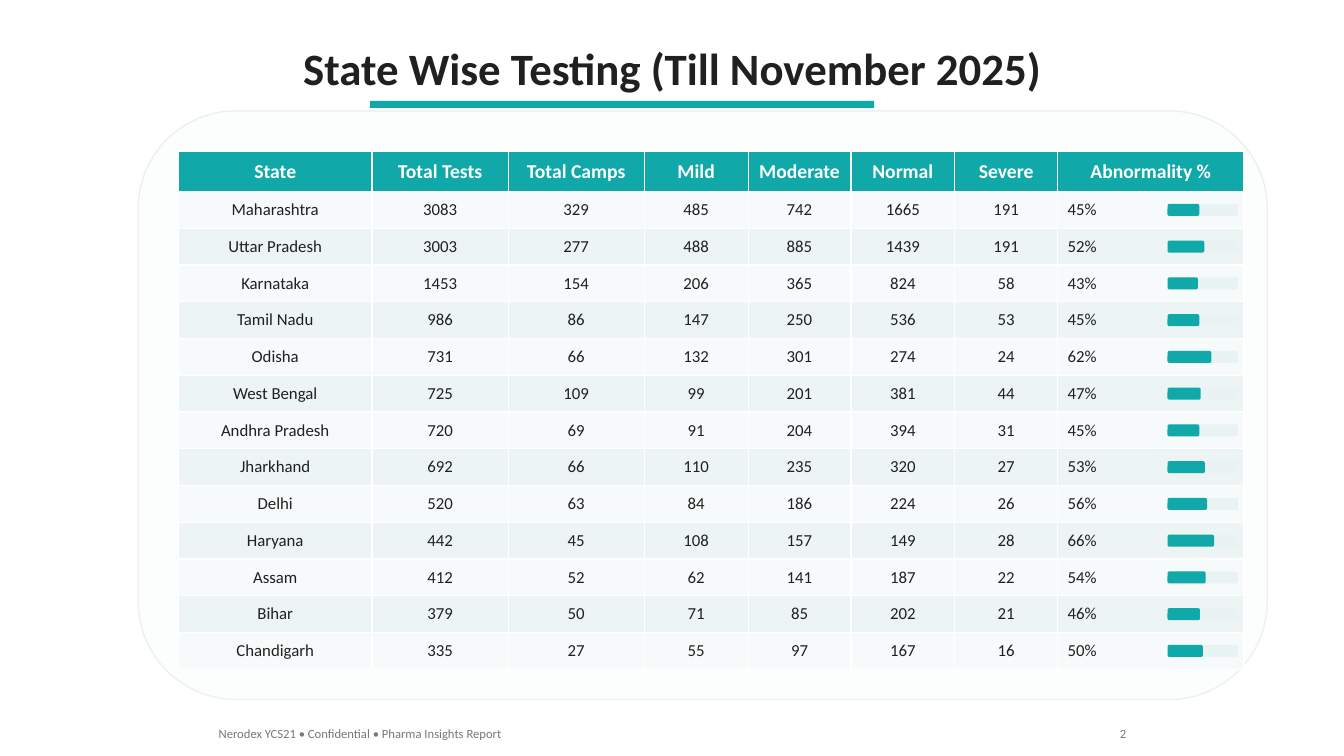
from pptx import Presentation
from pptx.dml.color import RGBColor
from pptx.enum.shapes import MSO_SHAPE
from pptx.enum.text import MSO_ANCHOR, MSO_AUTO_SIZE, PP_ALIGN
from pptx.util import Pt

PX = 9144  # EMU per px, 100 px to the inch
FONT = "Calibri"
COLORS = {
    "white": "FFFFFF", "ink": "202020", "teal": "10A8A8", "muted": "787878",
    "card": "FCFDFD", "card_line": "EBF0F0", "track": "EAF3F3",
    "odd_row": "F6FAFA", "even_row": "ECF4F4",
}
TITLE = {"size": Pt(32), "bold": True, "color": "ink"}
HEADER = {"size": Pt(14), "bold": True, "color": "white"}
BODY = {"size": Pt(12), "bold": False, "color": "ink"}
FOOTER = {"size": Pt(9), "color": "muted"}

COLUMNS = [
    ("State", 192), ("Total Tests", 135), ("Total Camps", 135), ("Mild", 103),
    ("Moderate", 102), ("Normal", 103), ("Severe", 102), ("Abnormality %", 185),
]
STATES = [
    ("Maharashtra", 3083, 329, 485, 742, 1665, 191, 45),
    ("Uttar Pradesh", 3003, 277, 488, 885, 1439, 191, 52),
    ("Karnataka", 1453, 154, 206, 365, 824, 58, 43),
    ("Tamil Nadu", 986, 86, 147, 250, 536, 53, 45),
    ("Odisha", 731, 66, 132, 301, 274, 24, 62),
    ("West Bengal", 725, 109, 99, 201, 381, 44, 47),
    ("Andhra Pradesh", 720, 69, 91, 204, 394, 31, 45),
    ("Jharkhand", 692, 66, 110, 235, 320, 27, 53),
    ("Delhi", 520, 63, 84, 186, 224, 26, 56),
    ("Haryana", 442, 45, 108, 157, 149, 28, 66),
    ("Assam", 412, 52, 62, 141, 187, 22, 54),
    ("Bihar", 379, 50, 71, 85, 202, 21, 46),
    ("Chandigarh", 335, 27, 55, 97, 167, 16, 50),
]


def emu(*lengths):
    return [round(n * PX) for n in lengths]


def rgb(name):
    return RGBColor.from_string(COLORS[name])


def write(tf, text, fmt, align):
    p = tf.paragraphs[0]
    p.alignment = align
    r = p.add_run()
    r.text = text
    r.font.name = FONT
    for key, value in fmt.items():
        if key == "color":
            r.font.color.rgb = rgb(value)
        else:
            setattr(r.font, key, value)


def add_label(s, box, text, fmt, align=PP_ALIGN.LEFT):
    tf = s.shapes.add_textbox(*emu(*box)).text_frame
    tf.word_wrap = False
    tf.auto_size = MSO_AUTO_SIZE.SHAPE_TO_FIT_TEXT
    write(tf, text, fmt, align)


def add_block(s, kind, box, fill, line=None):
    sp = s.shapes.add_shape(kind, *emu(*box))
    sp.shadow.inherit = False
    sp.fill.solid()
    sp.fill.fore_color.rgb = rgb(fill)
    if line:
        sp.line.color.rgb = rgb(line)
        sp.line.width = Pt(1)
    else:
        sp.line.fill.background()


def add_title(s, box):
    x, y, w, h = box
    add_label(s, box, "State Wise Testing (Till November 2025)", TITLE, PP_ALIGN.CENTER)
    add_block(s, MSO_SHAPE.RECTANGLE, (x + 80, y + h + 1, 500, 7), "teal")


def fill_cell(cell, text, fmt, fill, align):
    cell.fill.solid()
    cell.fill.fore_color.rgb = rgb(fill)
    cell.vertical_anchor = MSO_ANCHOR.MIDDLE
    write(cell.text_frame, text, fmt, align)


def add_state_table(s, box, header_h=40):
    x, y, w, h = box
    row_h = (h - header_h) / len(STATES)
    table = s.shapes.add_table(len(STATES) + 1, len(COLUMNS), *emu(*box)).table
    table.horz_banding = False
    for i, row in enumerate(table.rows):
        row.height = emu(row_h if i else header_h)[0]
    for c, (name, width) in enumerate(COLUMNS):
        table.columns[c].width = emu(width)[0]
        fill_cell(table.cell(0, c), name, HEADER, "teal", PP_ALIGN.CENTER)
    last = len(COLUMNS) - 1
    for i, state in enumerate(STATES):
        fill = "even_row" if i % 2 else "odd_row"
        for c, value in enumerate(state):
            text = f"{value}%" if c == last else str(value)
            align = PP_ALIGN.LEFT if c == last else PP_ALIGN.CENTER
            fill_cell(table.cell(i + 1, c), text, BODY, fill, align)
        row_y = y + header_h + i * row_h
        add_progress_bar(s, (x + w - 76, row_y + (row_h - 12) / 2, 70, 12), state[last])


def add_progress_bar(s, box, percent):
    x, y, w, h = box
    add_block(s, MSO_SHAPE.ROUNDED_RECTANGLE, box, "track")
    add_block(s, MSO_SHAPE.ROUNDED_RECTANGLE, (x, y, w * percent / 100, h), "teal")


def add_card(s, box):
    x, y, w, h = box
    add_block(s, MSO_SHAPE.ROUNDED_RECTANGLE, box, "card", "card_line")
    add_state_table(s, (x + 40, y + 40, sum(width for _, width in COLUMNS), h - 70))


def add_footer(s, box):
    x, y, w, h = box
    add_label(s, (x, y, 305, h), "Nerodex YCS21 • Confidential • Pharma Insights Report", FOOTER)
    add_label(s, (x + w - 27, y, 27, h), "2", FOOTER, PP_ALIGN.RIGHT)


def main():
    prs = Presentation()
    prs.slide_width, prs.slide_height = emu(1333, 750)
    s = prs.slides.add_slide(prs.slide_layouts[6])
    s.background.fill.solid()
    s.background.fill.fore_color.rgb = rgb("white")
    add_title(s, (287, 35, 760, 64))
    add_card(s, (137, 110, 1120, 584))
    add_footer(s, (207, 715, 920, 25))
    prs.save("out.pptx")


if __name__ == "__main__":
    main()
